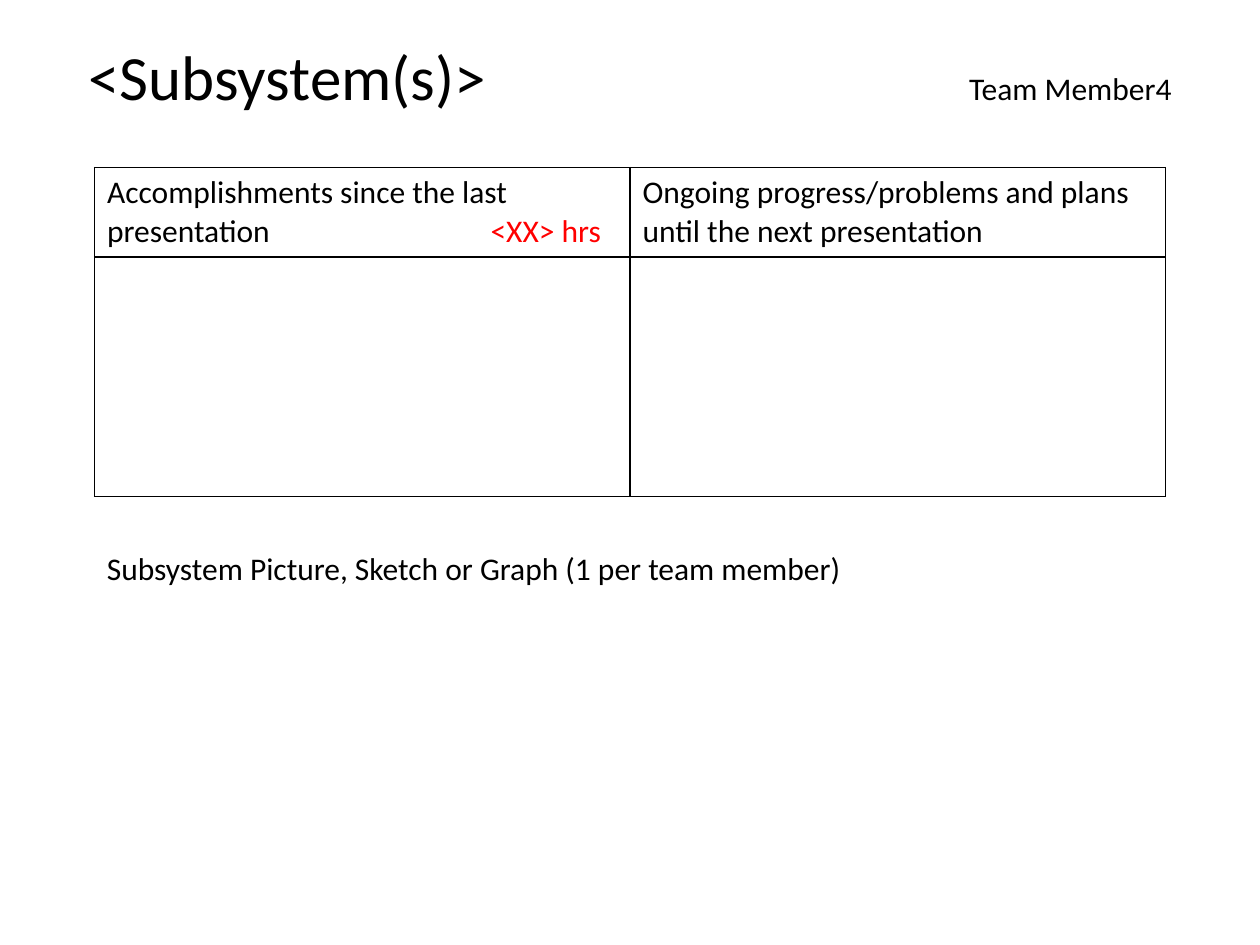
from lxml import etree
from pptx import Presentation
from pptx.dml.color import RGBColor
from pptx.oxml import ns
from pptx.util import Inches, Pt

COLORS = {"text": "000000", "hours": "FF0000", "border": "000000"}


def add_run(p, content, size=18, color="text"):
    r = p.add_run()
    r.text = content
    r.font.size = Pt(size)
    r.font.name = "Calibri"
    r.font.color.rgb = RGBColor.from_string(COLORS[color])


def add_right_tab(p, position):
    tabs = etree.SubElement(p._p.get_or_add_pPr(), ns.qn("a:tabLst"))
    etree.SubElement(tabs, ns.qn("a:tab"), pos=str(Inches(position)), algn="r")


prs = Presentation()
prs.slide_width, prs.slide_height = Inches(10), Inches(7.5)
s = prs.slides.add_slide(prs.slide_layouts[6])

frame = s.shapes.add_table(2, 2, Inches(0.75), Inches(1.33), Inches(8.5), Inches(2.6))
table = frame.table
table.first_row = table.horz_banding = False
for row, height in zip(table.rows, (0.7, 1.9)):
    row.height = Inches(height)

for cell in table.iter_cells():
    tcPr = cell._tc.get_or_add_tcPr()
    for side in ("lnL", "lnR", "lnT", "lnB"):
        ln = etree.SubElement(tcPr, ns.qn("a:" + side), w=str(Pt(1)))
        fill = etree.SubElement(ln, ns.qn("a:solidFill"))
        etree.SubElement(fill, ns.qn("a:srgbClr"), val=COLORS["border"])
    cell.fill.background()

done = table.cell(0, 0).text_frame.paragraphs[0]
add_right_tab(done, 3.92)
add_run(done, "Accomplishments since the last presentation\t")
add_run(done, "<XX> hrs", color="hours")
plans = table.cell(0, 1).text_frame.paragraphs[0]
add_run(plans, "Ongoing progress/problems and plans until the next presentation")

sketch = s.shapes.add_textbox(Inches(0.75), Inches(4.31), Inches(8.5), Inches(2.52))
sketch.text_frame.word_wrap = True
add_run(sketch.text_frame.paragraphs[0],
        "Subsystem Picture, Sketch or Graph (1 per team member)")

title = s.shapes.add_textbox(Inches(0.42), Inches(0.25), Inches(9.17), Inches(0.71))
tf = title.text_frame
tf.word_wrap = True
tf.margin_left, tf.margin_right = Inches(0.28), Inches(0.2)
p = tf.paragraphs[0]
add_right_tab(p, 8.6)
add_run(p, "<Subsystem(s)>\t", 36)
add_run(p, "Team Member4")

prs.save("out.pptx")
